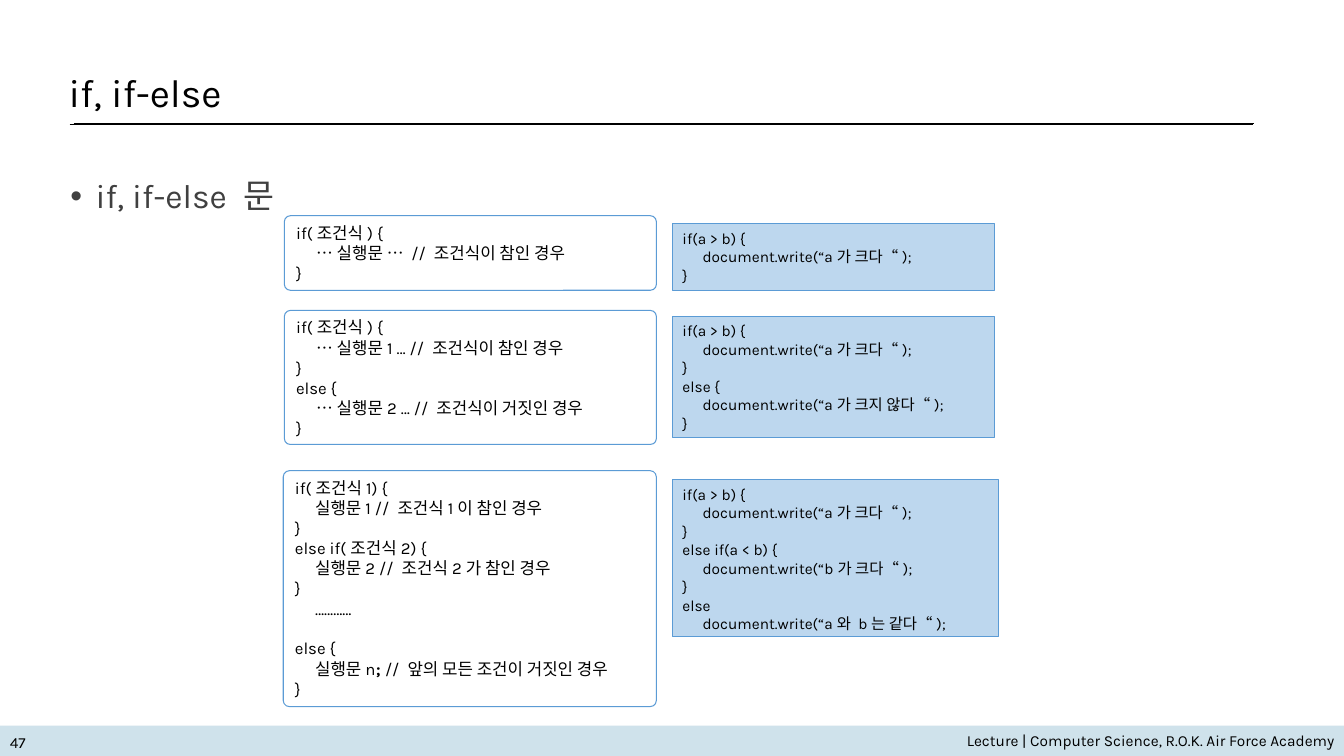
from lxml.etree import SubElement
from pptx import Presentation
from pptx.dml.color import RGBColor
from pptx.enum.shapes import MSO_CONNECTOR, MSO_SHAPE
from pptx.enum.text import MSO_ANCHOR, MSO_AUTO_SIZE, PP_ALIGN
from pptx.oxml.ns import qn
from pptx.util import Inches, Pt

BLACK = RGBColor(0x00, 0x00, 0x00)
GRAY = RGBColor(0x40, 0x40, 0x40)
BLUE = RGBColor(0x5B, 0x9B, 0xD5)
LIGHT_BLUE = RGBColor(0xBD, 0xD7, 0xEE)
FOOTER_BLUE = RGBColor(0xCF, 0xE2, 0xEB)
FONT = "Karla"

# Content
TITLE = "if, if-else"
BULLET = "if, if-else 문"
FOOTER = "Lecture | Computer Science, R.O.K. Air Force Academy"
PAGE = "47"

# A line given as a tuple alternates plain and bold runs
SYNTAX = [
    ((2.82, 2.14, 3.69, 0.74), [
        "if(조건식) {",
        "\t… 실행문 … // 조건식이 참인 경우",
        "}"]),
    ((2.82, 3.08, 3.69, 1.33), [
        "if(조건식) {",
        "\t… 실행문1 … // 조건식이 참인 경우",
        "}",
        "else {",
        "\t… 실행문2 … // 조건식이 거짓인 경우",
        "}"]),
    ((2.81, 4.67, 3.7, 2.34), [
        "if(조건식1) {",
        "\t실행문1 // 조건식1이 참인 경우",
        "}",
        "else if(조건식2) {",
        "\t실행문2 // 조건식2가 참인 경우",
        "}",
        "\t…………",
        "else {",
        ("\t실행문n", "; ", "// 앞의 모든 조건이 거짓인 경우"),
        "}"]),
]
EXAMPLES = [
    ((6.67, 2.22, 3.19, 0.66), [
        "if(a > b) {",
        "\tdocument.write(“a가 크다“);",
        "}"]),
    ((6.67, 3.14, 3.19, 1.2), [
        "if(a > b) {",
        "\tdocument.write(“a가 크다“);",
        "}",
        "else {",
        "\tdocument.write(“a가 크지 않다“);",
        "}"]),
    ((6.67, 4.76, 3.23, 1.56), [
        "if(a > b) {",
        "\tdocument.write(“a가 크다“);",
        "}",
        "else if(a < b) {",
        "\tdocument.write(“b가 크다“);",
        "}",
        "else",
        "\tdocument.write(“a와 b는 같다“);"]),
]
CORNER = 0.06  # corner radius of the syntax boxes, inches
TAB = 0.2


def style(p, size, color=BLACK):
    for r in p.runs:
        r.font.name, r.font.size, r.font.color.rgb = FONT, Pt(size), color


def add_text(s, box, text, size, color=BLACK):
    tf = s.shapes.add_textbox(*map(Inches, box)).text_frame
    tf.word_wrap = True
    tf.text = text
    style(tf.paragraphs[0], size, color)
    return tf


def add_box(s, kind, box, fill=None, line=None):
    sp = s.shapes.add_shape(kind, *map(Inches, box))
    sp.shadow.inherit = False
    if fill is None:
        sp.fill.background()
    else:
        sp.fill.solid()
        sp.fill.fore_color.rgb = fill
    if line is None:
        sp.line.fill.background()
    else:
        sp.line.color.rgb = line
        sp.line.width = Pt(0.75)
    return sp


def write_code(sp, lines, size):
    tf = sp.text_frame
    tf.word_wrap = True
    tf.vertical_anchor = MSO_ANCHOR.TOP
    for i, line in enumerate(lines):
        p = tf.paragraphs[0] if i == 0 else tf.add_paragraph()
        p.alignment = PP_ALIGN.LEFT
        if i and "…………" in lines[i - 1]:
            p.space_before = Pt(14)
        tabs = SubElement(p._p.get_or_add_pPr(), qn("a:tabLst"))
        SubElement(tabs, qn("a:tab"), pos=str(Inches(TAB)), algn="l")
        for j, text in enumerate(line if isinstance(line, tuple) else (line,)):
            r = p.add_run()
            r.text = text
            r.font.bold = j % 2 == 1
        style(p, size)


def main():
    prs = Presentation()
    prs.slide_width, prs.slide_height = Inches(13.33), Inches(7.5)
    s = prs.slides.add_slide(prs.slide_layouts[5])

    # Footer band
    add_box(s, MSO_SHAPE.RECTANGLE, (0, 7.2, 13.33, 0.3), FOOTER_BLUE)
    tf = add_text(s, (0.76, 7.2, 12.58, 0.28), FOOTER, 11)
    tf.paragraphs[0].alignment = PP_ALIGN.RIGHT
    tf = add_text(s, (0, 7.24, 0.76, 0.24), PAGE, 11)
    tf.vertical_anchor = MSO_ANCHOR.MIDDLE

    # Title and its double rule
    title = s.shapes.title
    title.left, title.top, title.width, title.height = map(Inches, (0.61, 0.73, 11.8, 0.42))
    tf = title.text_frame
    tf.text = TITLE
    tf.auto_size = MSO_AUTO_SIZE.NONE
    tf.vertical_anchor = MSO_ANCHOR.MIDDLE
    tf.margin_left = Inches(0.07)
    tf.margin_right = tf.margin_top = tf.margin_bottom = 0
    p = tf.paragraphs[0]
    p.alignment, p.line_spacing = PP_ALIGN.LEFT, 0.9
    style(p, 28)
    for x1, x2, y in ((0.73, 12.44, 1.22), (0.69, 12.43, 1.23)):
        rule = s.shapes.add_connector(MSO_CONNECTOR.STRAIGHT, *map(Inches, (x1, y, x2, y)))
        rule.line.color.rgb = BLACK
        rule.line.width = Pt(0.5)
        SubElement(rule._element.spPr, qn("a:effectLst"))

    # Bullet
    p = add_text(s, (0.6, 1.59, 11.82, 5.16), BULLET, 24, GRAY).paragraphs[0]
    p.line_spacing = 1.25
    pPr = p._p.get_or_add_pPr()
    pPr.set("marL", str(Inches(0.25)))
    pPr.set("indent", str(-Inches(0.25)))
    SubElement(pPr, qn("a:buFont"), typeface="Arial")
    SubElement(pPr, qn("a:buChar"), char="•")

    # Syntax on the left, examples on the right
    for box, lines in SYNTAX:
        sp = add_box(s, MSO_SHAPE.ROUNDED_RECTANGLE, box, line=BLUE)
        sp.adjustments[0] = CORNER / min(box[2:])
        write_code(sp, lines, 12)
    for box, lines in EXAMPLES:
        sp = add_box(s, MSO_SHAPE.RECTANGLE, box, LIGHT_BLUE, BLUE)
        write_code(sp, lines, 11)

    prs.save("out.pptx")


if __name__ == "__main__":
    main()
